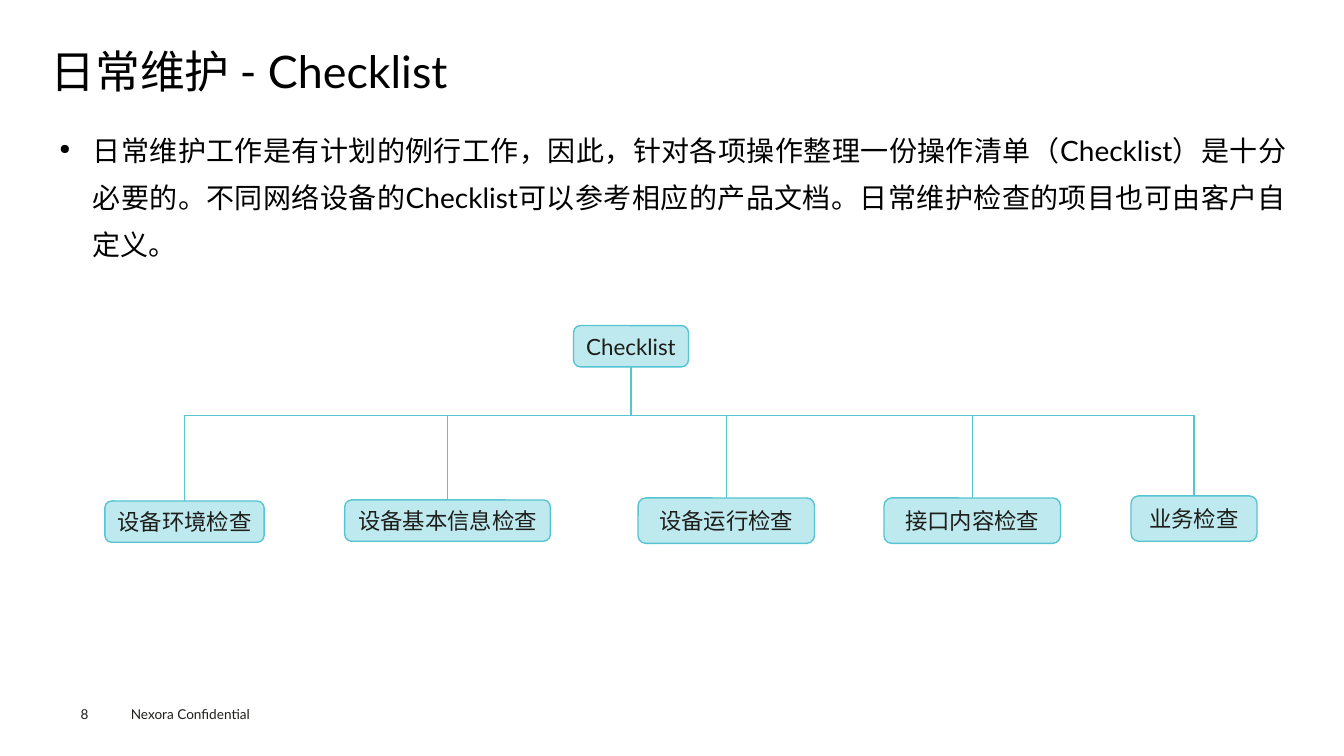
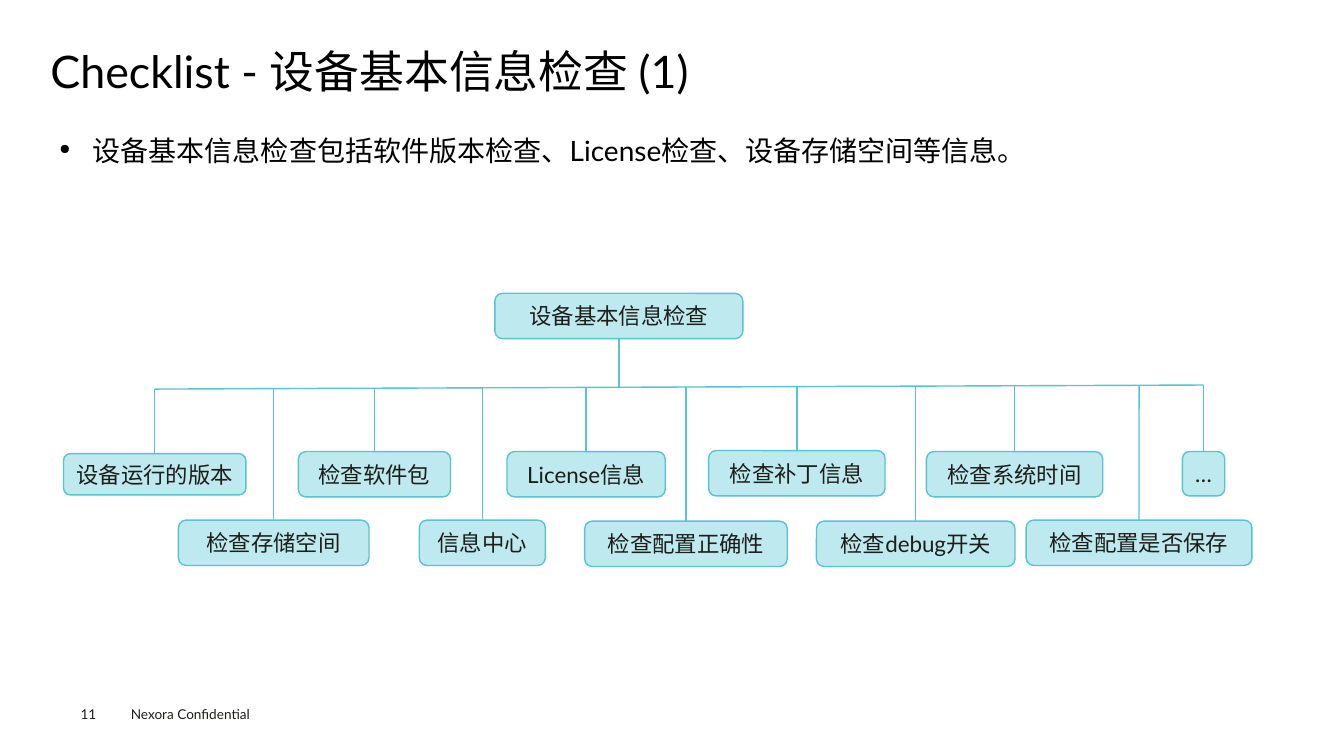
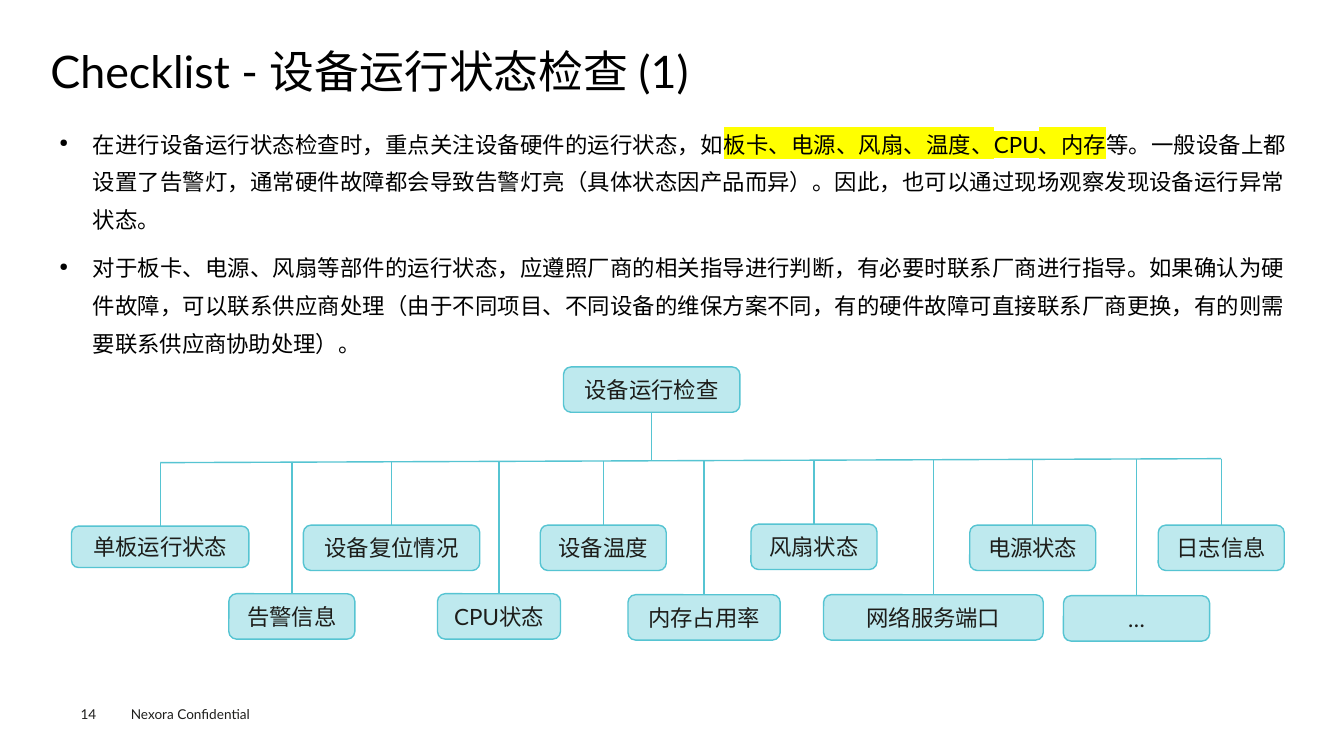
from dataclasses import dataclass, field
from typing import Any

from lxml import etree
from pptx import Presentation
from pptx.dml.color import RGBColor
from pptx.enum.lang import MSO_LANGUAGE_ID
from pptx.enum.shapes import MSO_CONNECTOR, MSO_SHAPE
from pptx.enum.text import MSO_ANCHOR, PP_ALIGN
from pptx.oxml.ns import qn
from pptx.util import Inches, Pt

ROUNDED = MSO_SHAPE.ROUNDED_RECTANGLE
STRAIGHT = MSO_CONNECTOR.STRAIGHT
TOP, MIDDLE = MSO_ANCHOR.TOP, MSO_ANCHOR.MIDDLE
LEFT, CENTER, JUSTIFY = PP_ALIGN.LEFT, PP_ALIGN.CENTER, PP_ALIGN.JUSTIFY
CHINESE = MSO_LANGUAGE_ID.SIMPLIFIED_CHINESE
TOP_SIDE, BOTTOM_SIDE = 0, 2

# The slide is a grid of 133.33 columns by 75 rows, each cell a tenth of an inch.
CELL = 0.1
COLUMNS, ROWS = 133.33, 75

FONT = "Lato"
BLACK, NODE_INK, FOOTER_INK = "000000", "1D1D1A", "1D1D1B"
NODE_FILL, TEAL, YELLOW = "BEE9EE", "56C4D2", "FFFF00"
FOOTER = "Nexora Confidential"


@dataclass(frozen=True)
class Area:
    left: float
    top: float
    width: float
    height: float


@dataclass(frozen=True)
class Span:
    text: str
    highlight: str = ""


@dataclass(frozen=True)
class TextStyle:
    size: float
    color: str
    anchor: Any = TOP
    margins: tuple[float, float] = (0, 0)
    bullet: bool = False
    para: dict[str, Any] = field(default_factory=dict)


@dataclass(frozen=True)
class Node:
    text: str
    left: float
    top: float
    width: float
    height: float = 4.5

    @property
    def center(self) -> float:
        return self.left + self.width / 2


@dataclass(frozen=True)
class Tree:
    root: Node
    bar_rows: tuple[float, float]
    leaves: list[Node]

    def bar_columns(self) -> tuple[float, float]:
        centers = [leaf.center for leaf in self.leaves]
        return min(centers), max(centers)

    def bar_row(self, column: float) -> float:
        """Row of the bar at a column, as the bar may slope."""
        first, last = self.bar_columns()
        start, end = self.bar_rows
        return start + (end - start) * (column - first) / (last - first)


@dataclass(frozen=True)
class Topic:
    number: int
    title: str
    body: list[list[Span]]
    body_size: float
    tree: Tree


TITLE_AREA = Area(5, 4.9, 123.5, 5.3)
BODY_AREA = Area(5, 11.5, 123.5, 53.4)
FOOTER_AREA = Area(12, 69.5, 16, 2.7)
NUMBER_AREA = Area(8, 70, 5.5, 1.6)

TITLE_STYLE = TextStyle(32, BLACK, para={"alignment": LEFT, "line_spacing": 0.9})
NODE_STYLE = TextStyle(16, NODE_INK, MIDDLE, para={"alignment": CENTER})
FOOTER_STYLE = TextStyle(9.7, FOOTER_INK, margins=(1, 0.5))
NUMBER_STYLE = TextStyle(9.7, FOOTER_INK)

TOPICS = [
    Topic(
        8, "日常维护 - Checklist",
        [[Span("日常维护工作是有计划的例行工作，因此，针对各项操作整理一份操作清单（Checklist）"
               "是十分必要的。不同网络设备的Checklist可以参考相应的产品文档。"
               "日常维护检查的项目也可由客户自定义。")]],
        20,
        Tree(Node("Checklist", 56.9, 32.3, 11.4, 4.1), (41.2, 41.2), [
            Node("设备环境检查", 10.4, 49.7, 15.8, 4.1),
            Node("设备基本信息检查", 34.2, 49.6, 20.4, 4.1),
            Node("设备运行检查", 63.3, 49.4, 17.5),
            Node("接口内容检查", 87.7, 49.4, 17.5),
            Node("业务检查", 112.2, 49.2, 12.5),
        ]),
    ),
    Topic(
        11, "Checklist - 设备基本信息检查 (1)",
        [[Span("设备基本信息检查包括软件版本检查、License检查、设备存储空间等信息。")]],
        20,
        Tree(Node("设备基本信息检查", 49.1, 29.1, 24.6), (38.6, 38.2), [
            Node("设备运行的版本", 6.3, 45, 18.1, 4.1),
            Node("检查软件包", 29.6, 44.8, 15.1),
            Node("License信息", 50.3, 44.8, 15.7),
            Node("检查补丁信息", 70.3, 44.7, 17.5),
            Node("检查系统时间", 91.9, 44.8, 17.5),
            Node("…", 117.3, 44.8, 4.2, 4.4),
            Node("检查存储空间", 17.7, 51.6, 18.9),
            Node("信息中心", 41.6, 51.6, 12.5),
            Node("检查配置正确性", 58, 51.7, 20.1),
            Node("检查debug开关", 81, 51.7, 19.7),
            Node("检查配置是否保存", 101.8, 51.6, 22.4),
        ]),
    ),
    Topic(
        14, "Checklist - 设备运行状态检查 (1)",
        [
            [Span("在进行设备运行状态检查时，重点关注设备硬件的运行状态，如"),
             Span("板卡、电源、风扇、温度、CPU、内存", YELLOW),
             Span("等。一般设备上都设置了告警灯，通常硬件故障都会导致告警灯亮"
                  "（具体状态因产品而异）。因此，也可以通过现场观察发现设备运行异常状态。")],
            [Span("对于板卡、电源、风扇等部件的运行状态，应遵照厂商的相关指导进行判断，"
                  "有必要时联系厂商进行指导。如果确认为硬件故障，可以联系供应商处理"
                  "（由于不同项目、不同设备的维保方案不同，有的硬件故障可直接联系厂商更换，"
                  "有的则需要联系供应商协助处理）。")],
        ],
        16,
        Tree(Node("设备运行检查", 55.9, 36.4, 17.5), (45.9, 45.5), [
            Node("单板运行状态", 7.1, 52.2, 17.6, 4.1),
            Node("设备复位情况", 30.1, 52.1, 17.5),
            Node("设备温度", 53.6, 52.1, 12.5),
            Node("风扇状态", 74.5, 52, 12.5),
            Node("电源状态", 96.2, 52.1, 12.5),
            Node("日志信息", 114.9, 52.1, 12.5),
            Node("告警信息", 22.7, 58.9, 12.5),
            Node("CPU状态", 43.4, 58.9, 12.2),
            Node("内存占用率", 62.3, 59, 15.1),
            Node("网络服务端口", 81.7, 59, 21.8),
            Node("…", 105.5, 59.1, 14.5),
        ]),
    ),
]


def cells(count: float) -> int:
    return Inches(count * CELL)


def place(area: Area | Node) -> list[int]:
    return [cells(n) for n in (area.left, area.top, area.width, area.height)]


def rgb(color: str) -> RGBColor:
    return RGBColor.from_string(color)


def apply(target: Any, values: dict[str, Any]) -> None:
    for name, value in values.items():
        setattr(target, name, value)


def add_bullet(para: Any) -> None:
    props = para._p.get_or_add_pPr()
    props.set("marL", str(cells(3.3)))
    props.set("indent", str(-cells(3.3)))
    etree.SubElement(props, qn("a:buSzPct")).set("val", "50000")
    etree.SubElement(props, qn("a:buChar")).set("char", "●")


def add_highlight(run: Any, color: str) -> None:
    mark = etree.Element(qn("a:highlight"))
    etree.SubElement(mark, qn("a:srgbClr")).set("val", color)
    run.font._element.find(qn("a:latin")).addprevious(mark)


def write(frame: Any, paras: list[list[Span]], style: TextStyle) -> None:
    side, end = (cells(n) for n in style.margins)
    apply(frame, {
        "word_wrap": True, "vertical_anchor": style.anchor,
        "margin_left": side, "margin_right": side,
        "margin_top": end, "margin_bottom": end,
    })
    for index, spans in enumerate(paras):
        para = frame.add_paragraph() if index else frame.paragraphs[0]
        if style.bullet:
            add_bullet(para)
        apply(para, style.para)
        if index == 0:
            para.space_before = Pt(0)
        for span in spans:
            run = para.add_run()
            run.text = span.text
            apply(run.font, {"name": FONT, "size": Pt(style.size), "language_id": CHINESE})
            run.font.color.rgb = rgb(style.color)
            if span.highlight:
                add_highlight(run, span.highlight)


def add_text(page: Any, area: Area, paras: list[list[Span]], style: TextStyle) -> None:
    write(page.shapes.add_textbox(*place(area)).text_frame, paras, style)


def add_node(page: Any, node: Node) -> Any:
    box = page.shapes.add_shape(ROUNDED, *place(node))
    box.shadow.inherit = False
    box.fill.solid()
    box.fill.fore_color.rgb = rgb(NODE_FILL)
    box.line.color.rgb = rgb(TEAL)
    box.line.width = Pt(1)
    write(box.text_frame, [[Span(node.text)]], NODE_STYLE)
    return box


def add_line(page: Any, start: tuple[float, float], end: tuple[float, float]) -> Any:
    points = [cells(n) for n in (*start, *end)]
    line = page.shapes.add_connector(STRAIGHT, *points)
    line.line.color.rgb = rgb(TEAL)
    line.line.width = Pt(1)
    etree.SubElement(line._element.spPr, qn("a:effectLst"))
    return line


def add_tree(page: Any, tree: Tree) -> None:
    """Draw the root, the bar below it and the leaves that hang from the bar."""
    root = tree.root
    root_box = add_node(page, root)
    leaf_boxes = [add_node(page, leaf) for leaf in tree.leaves]

    trunk = add_line(page, (root.center, root.top + root.height),
                     (root.center, tree.bar_row(root.center)))
    trunk.begin_connect(root_box, BOTTOM_SIDE)
    add_line(page, *zip(tree.bar_columns(), tree.bar_rows))
    for leaf, box in zip(tree.leaves, leaf_boxes):
        stem = add_line(page, (leaf.center, tree.bar_row(leaf.center)),
                        (leaf.center, leaf.top))
        stem.end_connect(box, TOP_SIDE)


def add_topic(deck: Any, topic: Topic) -> None:
    page = deck.slides.add_slide(deck.slide_layouts[6])
    body_style = TextStyle(
        topic.body_size, BLACK, margins=(0.9, 0.4), bullet=True,
        para={"alignment": JUSTIFY, "line_spacing": 1.4, "space_before": Pt(7.9)},
    )
    add_text(page, FOOTER_AREA, [[Span(FOOTER)]], FOOTER_STYLE)
    add_text(page, NUMBER_AREA, [[Span(str(topic.number))]], NUMBER_STYLE)
    add_text(page, TITLE_AREA, [[Span(topic.title)]], TITLE_STYLE)
    add_text(page, BODY_AREA, topic.body, body_style)
    add_tree(page, topic.tree)


def main() -> None:
    deck = Presentation()
    deck.slide_width, deck.slide_height = cells(COLUMNS), cells(ROWS)
    for topic in TOPICS:
        add_topic(deck, topic)
    deck.save("out.pptx")


if __name__ == "__main__":
    main()
